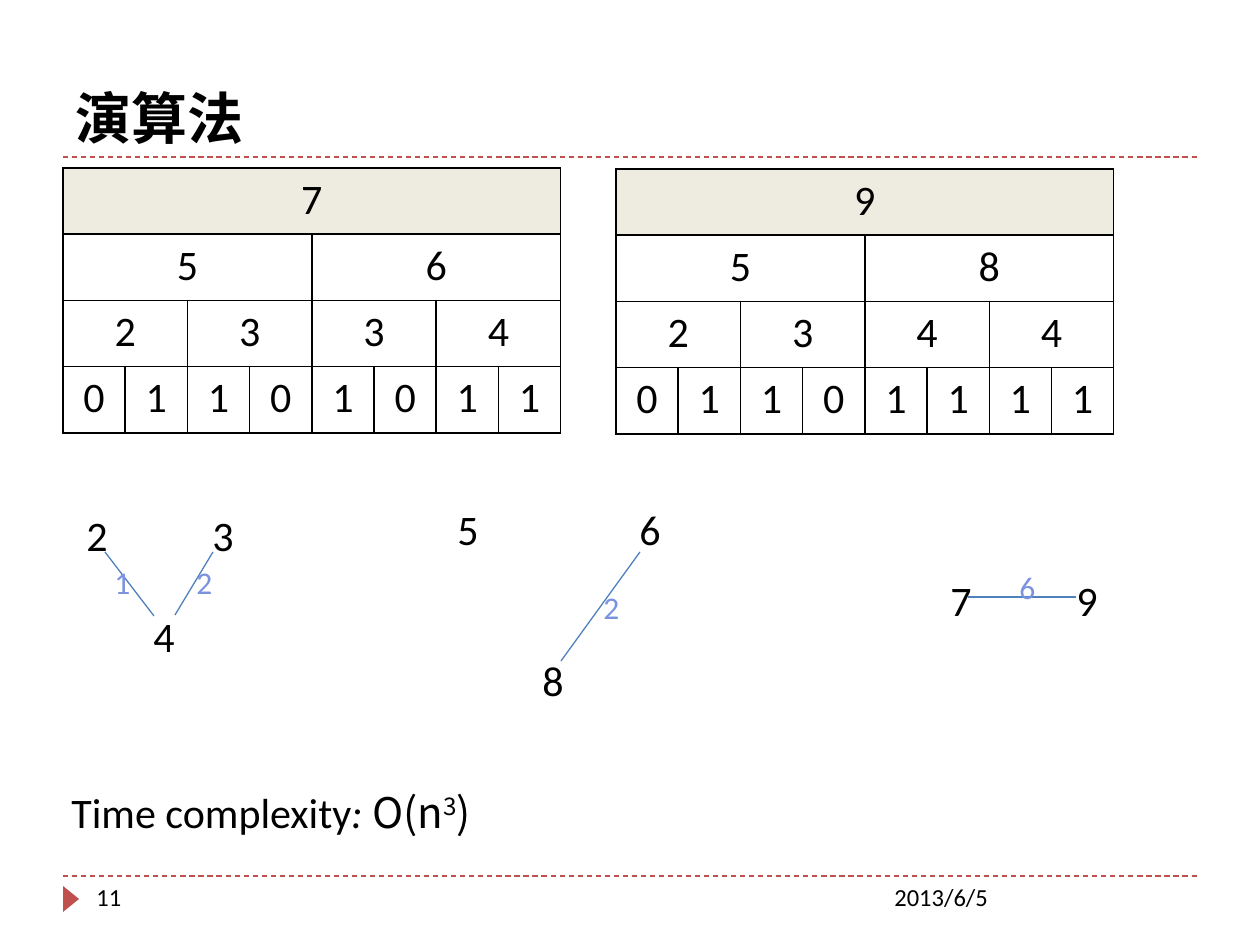
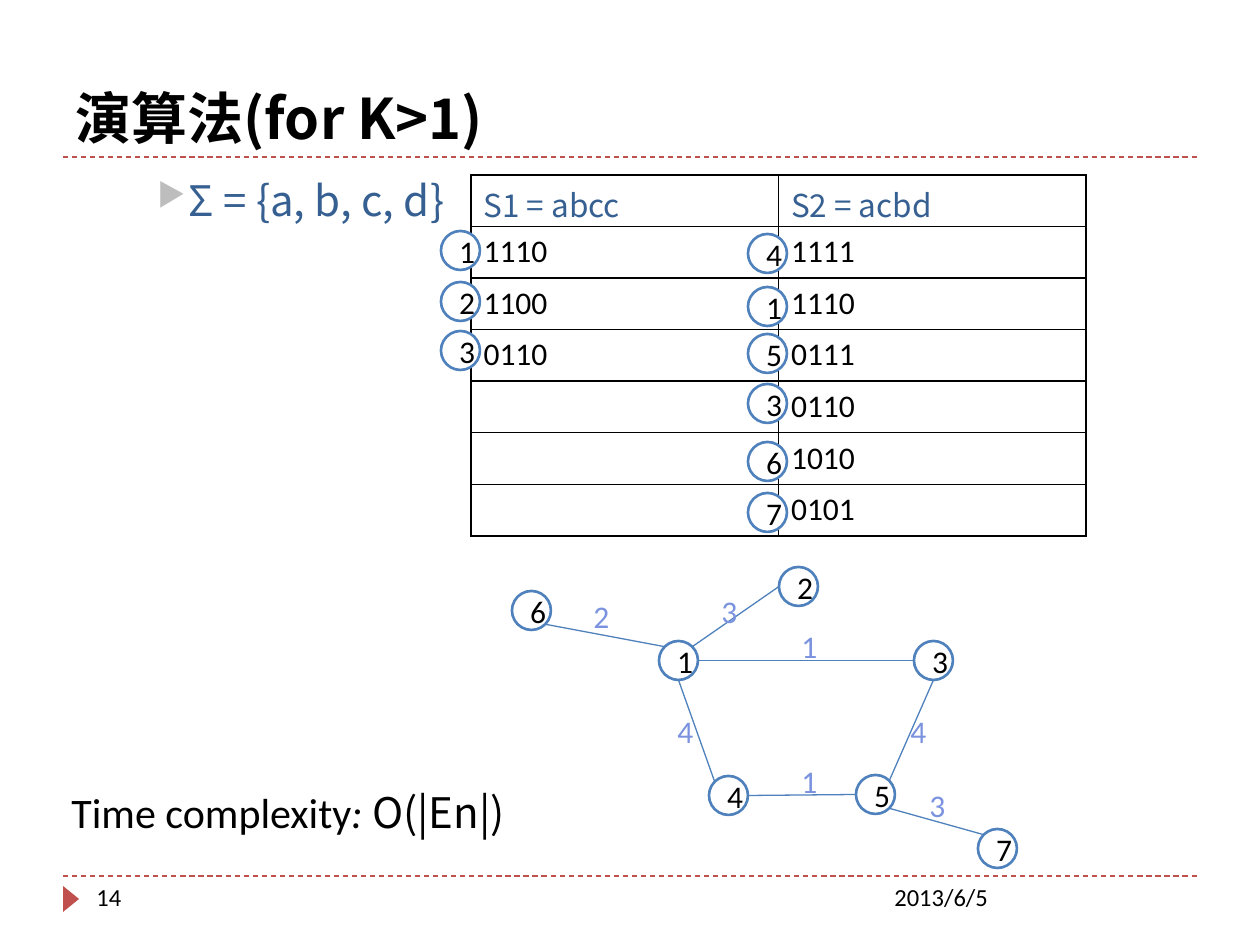
import math

from lxml import etree
from pptx import Presentation
from pptx import util as u
from pptx.dml.color import RGBColor
from pptx.enum import dml, shapes, text
from pptx.oxml.ns import qn

PX = u.Inches(1) / 126
LATIN, CJK = "Calibri", "Noto Sans CJK SC"
BLACK, WHITE, RED = "000000", "FFFFFF", "C0504D"
BLUE, NAVY, WEIGHT, SAND, GREY = "4F81BD", "376092", "7B93DF", "EEECE1", "BDBDBD"
RING = 39
COMPASS = {"E": 0, "SE": 45, "S": 90, "W": 180, "NW": 225, "NE": 315}


def px(*lengths):
    return [round(length * PX) for length in lengths]


def colour(code):
    return RGBColor.from_string(code)


def add_span(para, words, size, font=LATIN, code=BLACK, bold=None, italic=None, raised=False):
    span = para.add_run()
    span.text = words
    span.font.size = u.Pt(size)
    span.font.name = font
    span.font.bold = bold
    span.font.italic = italic
    span.font.color.rgb = colour(code)
    props = span._r.get_or_add_rPr()
    if raised:
        props.set("baseline", "30000")
    latin = props.find(qn("a:latin"))
    east = etree.Element(qn("a:ea"), typeface=font)
    latin.addnext(east)


def add_text(page, area, *spans, anchor=text.MSO_ANCHOR.TOP):
    """Add a one-paragraph text box; each span is a dict for add_span."""
    box = page.shapes.add_textbox(*px(*area))
    box.text_frame.word_wrap = True
    box.text_frame.vertical_anchor = anchor
    para = box.text_frame.paragraphs[0]
    for span in spans:
        add_span(para, **span)
    return para


def add_line(page, start, end, code=BLUE, dashed=False):
    line = page.shapes.add_connector(shapes.MSO_CONNECTOR.STRAIGHT, *px(*start, *end))
    line.line.color.rgb = colour(code)
    line.line.width = u.Pt(0.75)
    if dashed:
        line.line.dash_style = dml.MSO_LINE.DASH
    etree.SubElement(line._element.spPr, qn("a:effectLst"))


def add_frame(page, title, number):
    """Add the title, the dashed rules and the footer that every slide has."""
    for y in (876, 157):
        add_line(page, (63, y), (1197, y), RED, dashed=True)
    marker = page.shapes.add_shape(shapes.MSO_SHAPE.ISOSCELES_TRIANGLE, *px(58, 891, 26, 16))
    marker.rotation = 90
    marker.shadow.inherit = False
    marker.fill.solid()
    marker.fill.fore_color.rgb = colour(RED)
    marker.line.fill.background()
    add_text(page, (63, 21, 1134, 136), dict(words=title, size=32, font=CJK, bold=True),
             anchor=text.MSO_ANCHOR.BOTTOM)
    add_text(page, (882, 876, 315, 50), dict(words="2013/6/5", size=14))
    add_text(page, (84, 876, 273, 50), dict(words=number, size=14))


def add_complexity(page, *order):
    add_text(page, (59, 780, 525, 63), dict(words="Time complexity", size=24),
             dict(words=": ", size=24, italic=True),
             *(dict(size=24, font=CJK, **span) for span in order))


def add_number(page, number, x, y):
    add_text(page, (x, y, 59, 63), dict(words=number, size=24))


def add_weight(page, weight, x, y):
    add_text(page, (x, y, 59, 50), dict(words=weight, size=18, code=WEIGHT))


def add_ring(page, number, x, y):
    ring = page.shapes.add_shape(shapes.MSO_SHAPE.OVAL, *px(x, y, RING, RING))
    ring.shadow.inherit = False
    ring.fill.solid()
    ring.fill.fore_color.rgb = colour(WHITE)
    ring.line.color.rgb = colour(BLUE)
    ring.line.width = u.Pt(1.5)
    ring.text_frame.vertical_anchor = text.MSO_ANCHOR.MIDDLE
    para = ring.text_frame.paragraphs[0]
    para.alignment = text.PP_ALIGN.CENTER
    add_span(para, number, 18)


def ring_point(corner, side):
    """Point on the edge of the ring at this corner, in a compass direction."""
    angle = math.radians(COMPASS[side])
    radius = RING / 2
    return (corner[0] + radius * (1 + math.cos(angle)),
            corner[1] + radius * (1 + math.sin(angle)))


def add_grid(page, area, row_count, column_count):
    """Add a plain table with even rows and columns and thin black borders."""
    left, top, width, height = px(*area)
    table = page.shapes.add_table(row_count, column_count, left, top, width, height).table
    table.first_row = table.horz_banding = False
    for column in table.columns:
        column.width = width // column_count
    for row in table.rows:
        row.height = height // row_count
    for cell in table.iter_cells():
        props = cell._tc.get_or_add_tcPr()
        for side in ("lnL", "lnR", "lnT", "lnB"):
            border = etree.SubElement(props, qn("a:" + side), w=str(u.Pt(1)))
            fill = etree.SubElement(border, qn("a:solidFill"))
            etree.SubElement(fill, qn("a:srgbClr"), val=BLACK)
        cell.fill.background()
    return table


def add_merge_table(page, area, levels):
    """Add a table whose rows split eight columns evenly among their values."""
    table = add_grid(page, area, len(levels), 8)
    for row, values in enumerate(levels):
        width = 8 // len(values)
        for index, value in enumerate(values):
            first = index * width
            cell = table.cell(row, first)
            if width > 1:
                cell.merge(table.cell(row, first + width - 1))
            if row == 0:
                cell.fill.solid()
                cell.fill.fore_color.rgb = colour(SAND)
            para = cell.text_frame.paragraphs[0]
            para.alignment = text.PP_ALIGN.CENTER
            add_span(para, value, 24)


def add_code_table(page, area, rows):
    table = add_grid(page, area, len(rows), 2)
    for row, values in enumerate(rows):
        style = {"font": CJK, "code": NAVY} if row == 0 else {}
        for column, value in enumerate(values):
            cell = table.cell(row, column)
            if row == 0:
                cell.margin_bottom = 0
            if value:
                add_span(cell.text_frame.paragraphs[0], value, 18, **style)


def add_bullet(page, area, words):
    para = add_text(page, area)
    props = para._p.get_or_add_pPr()
    props.set("marL", str(u.Inches(0.9)))
    props.set("indent", str(u.Inches(-0.25)))
    tint = etree.SubElement(props, qn("a:buClr"))
    etree.SubElement(tint, qn("a:srgbClr"), val=GREY)
    etree.SubElement(props, qn("a:buSzPct"), val="76000")
    etree.SubElement(props, qn("a:buChar"), char="▶")
    add_span(para, words, 24, CJK, NAVY)


def build_merge_slide(page):
    add_frame(page, "演算法", "11")
    add_merge_table(page, (63, 168, 498, 265), ["7", "56", "2334", "01101011"])
    add_merge_table(page, (616, 169, 498, 265), ["9", "58", "2344", "01101111"])
    for number, x, y in [("2", 74, 503), ("3", 200, 503), ("4", 141, 604),
                         ("5", 445, 497), ("6", 627, 497), ("8", 530, 648),
                         ("7", 938, 568), ("9", 1064, 568)]:
        add_number(page, number, x, y)
    for start, end in [((105, 552), (154, 616)), ((213, 552), (175, 615)),
                       ((640, 552), (561, 661)), ((968, 597), (1076, 597))]:
        add_line(page, start, end)
    for weight, x, y in [("1", 102, 557), ("2", 184, 557), ("2", 591, 582), ("6", 1007, 562)]:
        add_weight(page, weight, x, y)
    add_complexity(page, dict(words="O(n"), dict(words="3", raised=True), dict(words=")"))


def build_graph_slide(page):
    add_frame(page, "演算法(for K>1)", "14")
    add_bullet(page, (63, 168, 1134, 680), "Σ = {a, b, c, d}")
    add_complexity(page, dict(words="O(|En|)"))
    add_code_table(page, (471, 175, 615, 361), [
        ("S1 = abcc", "S2 = acbd"), ("1110", "1111"), ("1100", "1110"), ("0110", "0111"),
        ("", "0110"), ("", "1010"), ("", "0101")])
    row_rings = {441: [("1", 231), ("2", 282), ("3", 331)],
                 748: [("4", 234), ("1", 287), ("5", 334), ("3", 384), ("6", 442), ("7", 493)]}
    for x, rings in row_rings.items():
        for number, y in rings:
            add_ring(page, number, x, y)

    nodes = {"1": (659, 641), "2": (779, 567), "3": (914, 641), "4": (709, 776),
             "5": (856, 775), "6": (512, 591), "7": (978, 829)}
    for number, corner in nodes.items():
        add_ring(page, number, *corner)
    edges = [("1", "NE", "2", "W", "3", (709, 586)), ("1", "E", "3", "W", "1", (789, 621)),
             ("1", "S", "4", "NW", "4", (665, 706)), ("3", "S", "5", "NE", "4", (898, 706)),
             ("4", "E", "5", "W", "1", (789, 756)), ("5", "SE", "7", "NW", "3", (917, 780)),
             ("6", "SE", "1", "NW", "2", (581, 591))]
    for tail, tail_side, head, head_side, weight, place in edges:
        add_line(page, ring_point(nodes[tail], tail_side), ring_point(nodes[head], head_side))
        add_weight(page, weight, *place)


def main():
    deck = Presentation()
    deck.slide_width, deck.slide_height = px(1260, 945)
    for build in (build_merge_slide, build_graph_slide):
        build(deck.slides.add_slide(deck.slide_layouts[6]))
    deck.save("out.pptx")


if __name__ == "__main__":
    main()
